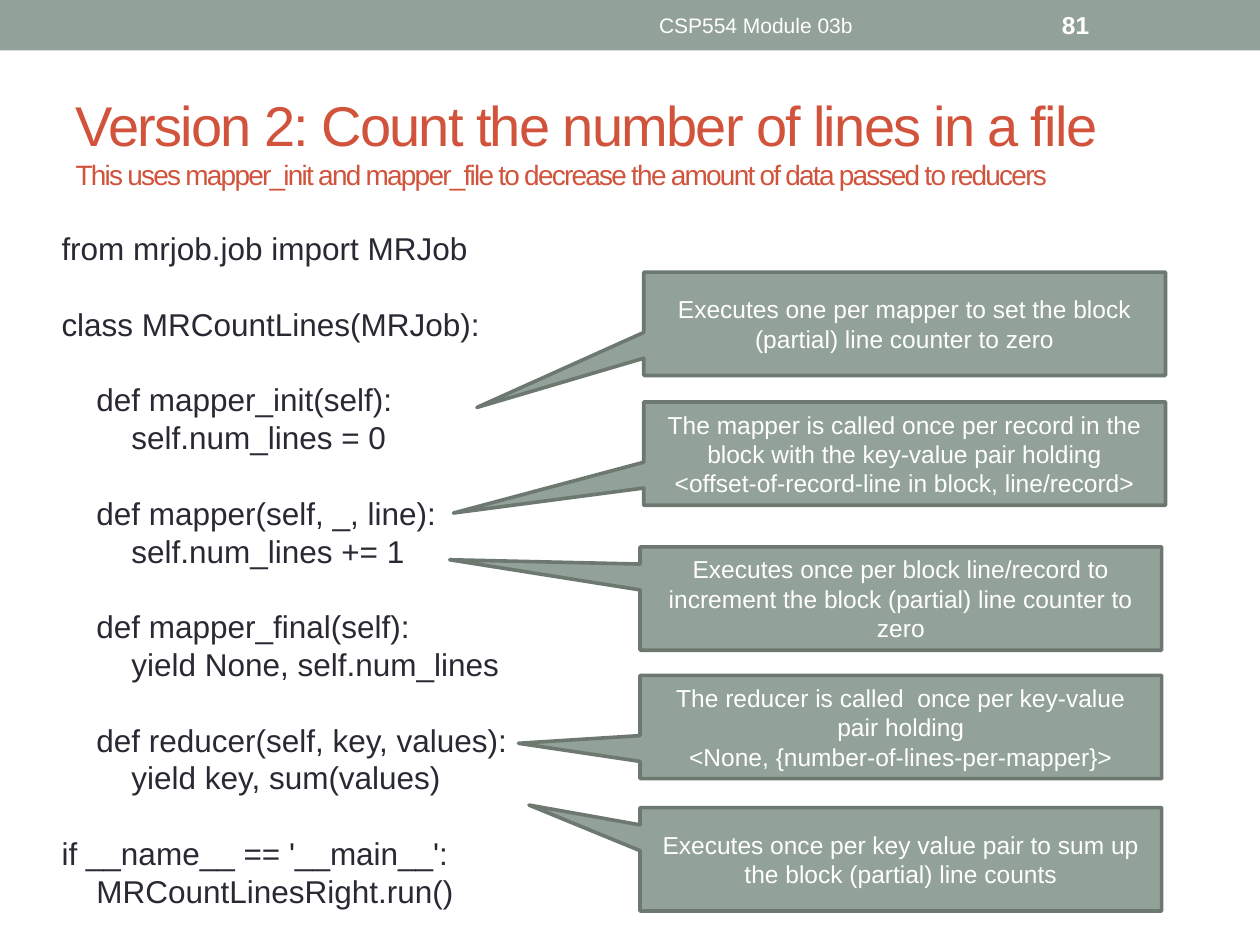
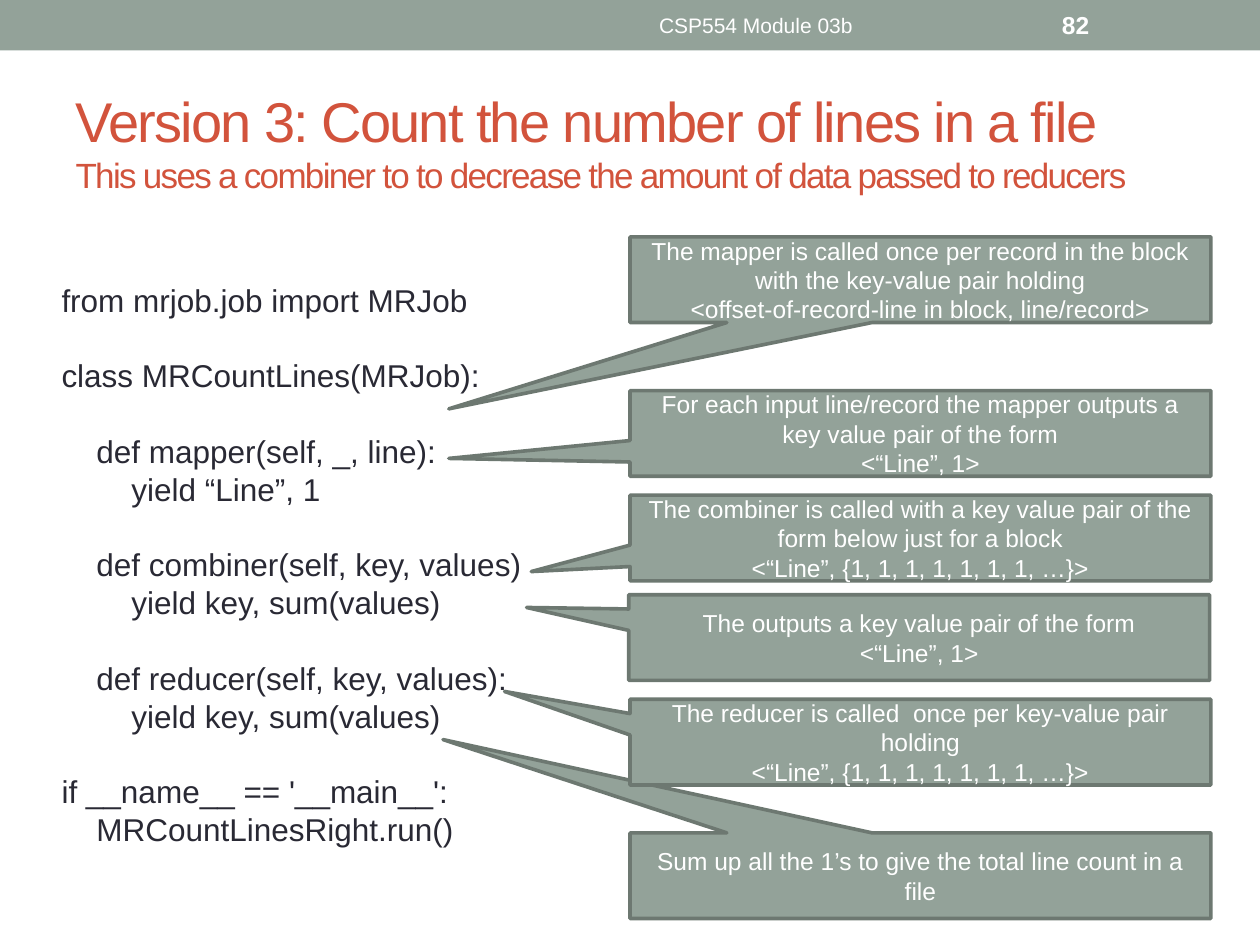
from pptx import Presentation
from pptx.dml.color import RGBColor
from pptx.enum.shapes import MSO_SHAPE
from pptx.enum.text import MSO_ANCHOR, PP_ALIGN
from pptx.util import Inches, Pt

SAGE, DARK_SAGE, RUST, INK, WHITE = "93A299", "6D7871", "D2533C", "292934", "FFFFFF"
FONT = "Arial"
CODE_LINE_HEIGHT = 21.6


def rgb(hex_string):
    return RGBColor.from_string(hex_string)


def write(shape, text, size, color, align=PP_ALIGN.LEFT, anchor=MSO_ANCHOR.MIDDLE,
          bold=False, gap=0):
    """Write one paragraph per line; an empty line becomes space before the next."""
    frame = shape.text_frame
    frame.word_wrap = True
    frame.vertical_anchor = anchor
    paragraph, space = frame.paragraphs[0], 0
    for line in text.split("\n"):
        if not line:
            space = gap
            continue
        if paragraph.runs:
            paragraph = frame.add_paragraph()
        paragraph.alignment = align
        if space:
            paragraph.space_before = Pt(space)
        space = 0
        run = paragraph.add_run()
        run.text = line
        run.font.name, run.font.size, run.font.bold = FONT, Pt(size), bold
        run.font.color.rgb = rgb(color)


VERSION_2_CODE = """from mrjob.job import MRJob

class MRCountLines(MRJob):

    def mapper_init(self):
        self.num_lines = 0

    def mapper(self, _, line):
        self.num_lines += 1

    def mapper_final(self):
        yield None, self.num_lines

    def reducer(self, key, values):
        yield key, sum(values)

if __name__ == '__main__':
    MRCountLinesRight.run()"""

VERSION_3_CODE = """from mrjob.job import MRJob

class MRCountLines(MRJob):

    def mapper(self, _, line):
        yield “Line”, 1

    def combiner(self, key, values)
        yield key, sum(values)

    def reducer(self, key, values):
        yield key, sum(values)

if __name__ == '__main__':
    MRCountLinesRight.run()"""

# Each callout: left, top, pointer x and y (fractions of its size), text; back to front
VERSION_2_CALLOUTS = [
    (5.11, 2.16, -0.82, 0.81,
     "Executes one per mapper to set the block (partial) line counter to zero"),
    (5.08, 4.34, -0.865, -0.375,
     "Executes once per block line/record to increment the block (partial) line counter to zero"),
    (5.11, 3.19, -0.865, 0.575,
     "The mapper is called once per record in the block with the key-value pair holding\n"
     "<offset-of-record-line in block, line/record>"),
    (5.08, 6.41, -0.713, -0.525,
     "Executes once per key value pair to sum up the block (partial) line counts"),
    (5.08, 5.36, -0.733, 0.158,
     "The reducer is called  once per key-value pair holding\n"
     "<None, {number-of-lines-per-mapper}>"),
]
VERSION_3_CALLOUTS = [
    (5, 1.88, -0.812, 1.508,
     "The mapper is called once per record in the block with the key-value pair holding\n"
     "<offset-of-record-line in block, line/record>"),
    (5, 6.61, -0.822, -1.589, "Sum up all the 1’s to give the total line count in a file"),
    (5, 3.1, -0.812, 0.292,
     "For each input line/record the mapper outputs a key value pair of the form\n<“Line”, 1>"),
    (5, 5.55, -0.716, -0.592,
     "The reducer is called  once per key-value pair holding\n"
     "<“Line”, {1, 1, 1, 1, 1, 1, 1, …}>"),
    (5, 3.93, -0.67, 0.392,
     "The combiner is called with a key value pair of the form below just for a block\n"
     "<“Line”, {1, 1, 1, 1, 1, 1, 1, …}>"),
    (4.99, 4.72, -0.676, -0.351, "The outputs a key value pair of the form\n<“Line”, 1>"),
]

# Each slide: number, title, subtitle, subtitle size, code top and height, code,
# callout width and height, callouts
SLIDES = [
    (81, "Version 2: Count the number of lines in a file",
     "This uses mapper_init and mapper_file to decrease the amount of data passed to reducers",
     16, 1.77, 5.55, VERSION_2_CODE, 4.14, 0.82, VERSION_2_CALLOUTS),
    (82, "Version 3: Count the number of lines in a file",
     "This uses a combiner to to decrease the amount of data passed to reducers",
     20, 2.18, 4.64, VERSION_3_CODE, 4.61, 0.68, VERSION_3_CALLOUTS),
]

presentation = Presentation()
presentation.slide_width, presentation.slide_height = Inches(10), Inches(7.5)

for (number, title_text, subtitle, subtitle_size, code_top, code_height, code,
     callout_width, callout_height, callouts) in SLIDES:
    slide = presentation.slides.add_slide(presentation.slide_layouts[5])

    # Header band with course name and slide number
    band = slide.shapes.add_shape(MSO_SHAPE.RECTANGLE, 0, 0, Inches(10), Inches(0.4))
    band.shadow.inherit = False
    band.fill.solid()
    band.fill.fore_color.rgb = rgb(SAGE)
    band.line.fill.background()
    course = slide.shapes.add_textbox(Inches(3.75), Inches(0.02), Inches(4.5), Inches(0.36))
    write(course, "CSP554 Module 03b", 12, WHITE, align=PP_ALIGN.CENTER)
    page = slide.shapes.add_textbox(Inches(8.33), Inches(0.02), Inches(1.17), Inches(0.36))
    write(page, str(number), 14, WHITE, bold=True)

    # Title with a smaller second line
    title = slide.shapes.title
    title.left, title.top = Inches(0.5), Inches(0.58)
    title.width, title.height = Inches(9), Inches(1.08)
    write(title, title_text, 32, RUST)
    paragraph = title.text_frame.paragraphs[0]
    paragraph.add_line_break()
    subtitle_run = paragraph.add_run()
    subtitle_run.text = subtitle
    subtitle_run.font.name, subtitle_run.font.size = FONT, Pt(subtitle_size)
    subtitle_run.font.color.rgb = rgb(RUST)
    for run in paragraph.runs:
        run.font._element.set("spc", "-100")

    # Code listing
    listing = slide.shapes.add_textbox(Inches(0.39), Inches(code_top),
                                       Inches(4.36), Inches(code_height))
    write(listing, code, 18, INK, anchor=MSO_ANCHOR.TOP, gap=CODE_LINE_HEIGHT)

    # Callouts pointing at the code
    for left, top, pointer_x, pointer_y, text in callouts:
        callout = slide.shapes.add_shape(MSO_SHAPE.RECTANGULAR_CALLOUT, Inches(left), Inches(top),
                                         Inches(callout_width), Inches(callout_height))
        callout.adjustments[0], callout.adjustments[1] = pointer_x, pointer_y
        callout.shadow.inherit = False
        callout.fill.solid()
        callout.fill.fore_color.rgb = rgb(SAGE)
        callout.line.color.rgb = rgb(DARK_SAGE)
        callout.line.width = Pt(2.08)
        write(callout, text, 14, WHITE, align=PP_ALIGN.CENTER)

presentation.save("out.pptx")
